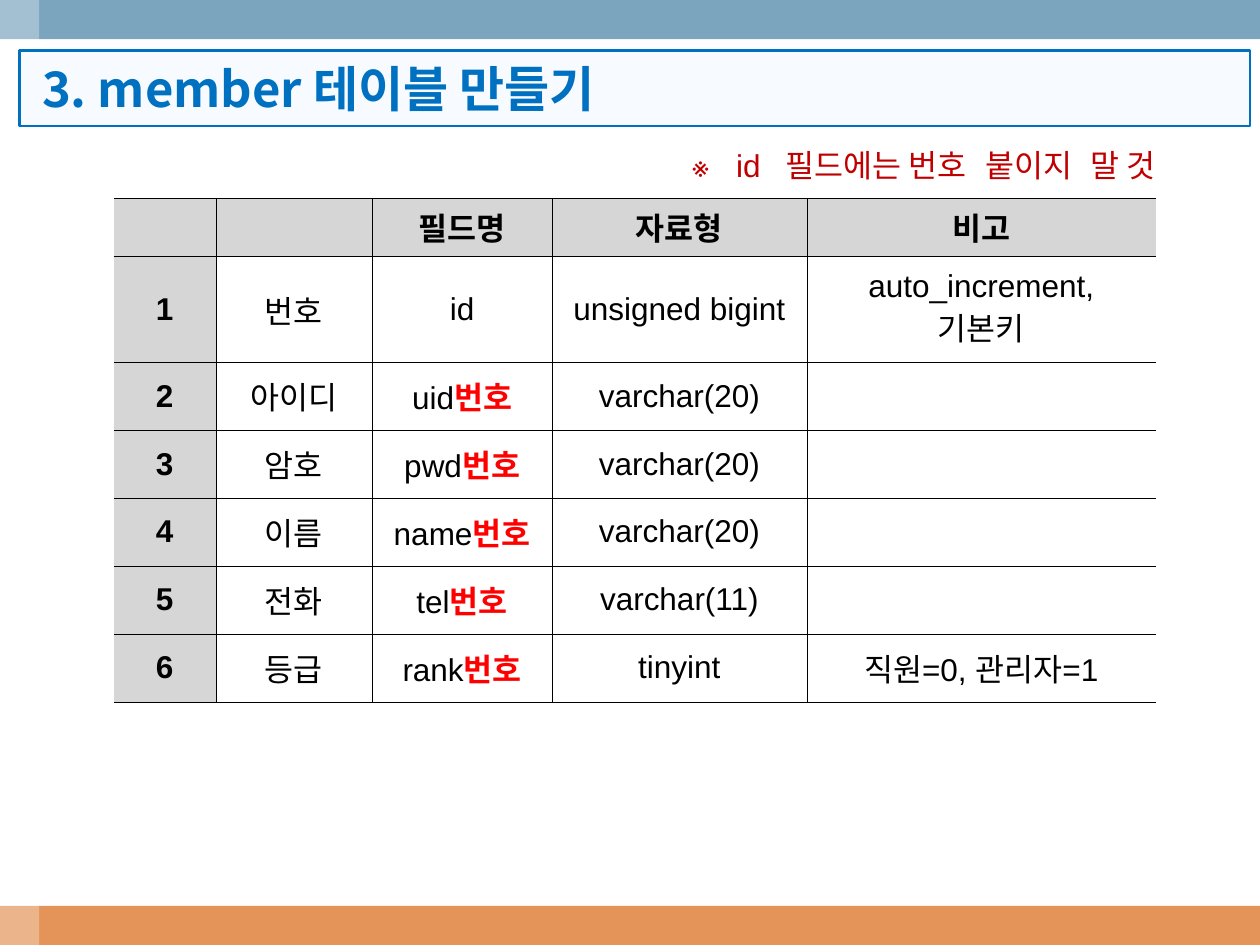
import pptx
import pptx.dml.color
import pptx.enum.shapes
import pptx.enum.text
import pptx.oxml.ns
import pptx.util
from lxml import etree
from pptx.util import Cm, Pt

KOREAN = "Noto Sans CJK KR"
MIDDLE = pptx.enum.text.MSO_ANCHOR.MIDDLE
CENTER = pptx.enum.text.PP_ALIGN.CENTER
W, H, BAND = 25.4, 19.05, 0.79


def color(value):
    return pptx.dml.color.RGBColor.from_string(value)


def sub(parent, tag, **attrs):
    return etree.SubElement(parent, pptx.oxml.ns.qn(tag), attrs)


class Deck:
    """Holds the text style and the slide being built."""

    def __init__(self, prs, size=18, font="Arial", ink="000000", grey="D6D6D6"):
        self.s = prs.slides.add_slide(prs.slide_layouts[6])
        self.size, self.font, self.ink, self.grey = size, font, ink, grey

    def run(self, p, text, bold=False, ink=None, size=None, font=None):
        r = p.add_run()
        r.text = text
        r.font.size = Pt(size or self.size)
        r.font.name = font or self.font
        r.font.bold = bold
        r.font.color.rgb = color(ink or self.ink)
        sub(r.font._element, "a:ea", typeface=KOREAN)

    def rect(self, x, y, w, h, fill, line=None, alpha=None):
        sp = self.s.shapes.add_shape(
            pptx.enum.shapes.MSO_SHAPE.RECTANGLE, Cm(x), Cm(y), Cm(w), Cm(h))
        sp.shadow.inherit = False
        sp.fill.solid()
        sp.fill.fore_color.rgb = color(fill)
        if alpha:
            clr = sp.fill._xPr.find(".//" + pptx.oxml.ns.qn("a:srgbClr"))
            sub(clr, "a:alpha", val=str(alpha * 1000))
        if line:
            sp.line.color.rgb = color(line)
            sp.line.width = Pt(1.5)
        else:
            sp.line.fill.background()
        return sp

    def title(self, text, ink):
        sp = self.rect(0.4, 1.02, 24.8, 1.52, "F7FBFF", ink)
        tf = sp.text_frame
        tf.word_wrap = True
        tf.vertical_anchor = MIDDLE
        p = tf.paragraphs[0]
        p.alignment = pptx.enum.text.PP_ALIGN.LEFT
        p._p.get_or_add_pPr().set("marL", str(Cm(0.2)))
        self.run(p, text, True, ink, 28, KOREAN)

    def note(self, x, y, w, h, words, stops, ink):
        """Writes words on one line, each after the first at its tab stop."""
        tf = self.s.shapes.add_textbox(Cm(x), Cm(y), Cm(w), Cm(h)).text_frame
        tf.word_wrap = True
        p = tf.paragraphs[0]
        tabs = sub(p._p.get_or_add_pPr(), "a:tabLst")
        for stop in stops:
            sub(tabs, "a:tab", pos=str(Cm(stop)), algn="l")
        self.run(p, "\t".join(words), ink=ink)

    def borders(self, cell, sides):
        """Draws hairlines on the given sides and clears the others."""
        tcPr = cell._tc.get_or_add_tcPr()
        for i, side in enumerate("LRTB"):
            ln = sub(tcPr, "a:ln" + side, w=str(Pt(0.11)))
            if side in sides:
                sub(sub(ln, "a:solidFill"), "a:srgbClr", val=self.ink)
            else:
                sub(ln, "a:noFill")
            tcPr.insert(i, ln)

    def cell(self, cell, content, head, sides):
        cell.vertical_anchor = MIDDLE
        cell.margin_left = cell.margin_right = Cm(0.05 if head else 0.3)
        cell.margin_top = cell.margin_bottom = Cm(0.13)
        if head:
            cell.fill.solid()
            cell.fill.fore_color.rgb = color(self.grey)
        else:
            cell.fill.background()
        self.borders(cell, sides)
        p = cell.text_frame.paragraphs[0]
        p.alignment = CENTER
        p.font.size = Pt(self.size)
        for part in content:
            if part == "\n":
                p.add_line_break()
            elif part == NUMBER:
                self.run(p, part[0], True, "FF0000")
            else:
                self.run(p, part, head)

    def table(self, x, y, widths, heights, rows):
        t = self.s.shapes.add_table(
            len(rows), len(widths), Cm(x), Cm(y),
            Cm(sum(widths)), Cm(sum(heights))).table
        for column, w in zip(t.columns, widths):
            column.width = Cm(w)
        for row, h in zip(t.rows, heights):
            row.height = Cm(h)
        last = len(widths) - 1
        for i, row in enumerate(rows):
            for j, content in enumerate(row):
                sides = "TB" + ("L" if j > 0 else "") + ("R" if j < last else "")
                self.cell(t.cell(i, j), content, i == 0 or j == 0, sides)


NUMBER = ("번호",)  # red suffix of a field name

FIELDS = [
    (["번호"], ["id"], ["unsigned bigint"], ["auto_increment,", "\n", "기본키"]),
    (["아이디"], ["uid", NUMBER], ["varchar(20)"], []),
    (["암호"], ["pwd", NUMBER], ["varchar(20)"], []),
    (["이름"], ["name", NUMBER], ["varchar(20)"], []),
    (["전화"], ["tel", NUMBER], ["varchar(11)"], []),
    (["등급"], ["rank", NUMBER], ["tinyint"], ["직원=0, 관리자=1"]),
]


def main():
    prs = pptx.Presentation()
    prs.slide_width, prs.slide_height = Cm(W), Cm(H)
    deck = Deck(prs)
    deck.rect(0, H - BAND, W, BAND, "E49458")
    deck.rect(0, 0, W, BAND, "7BA5BE")
    deck.rect(0, 0, BAND, H, "FFFFFF", alpha=30)

    header = ([], [], ["필드명"], ["자료형"], ["비고"])
    rows = [header] + [([str(n)], *field) for n, field in enumerate(FIELDS, 1)]
    deck.table(2.29, 3.99, [2.06, 3.15, 3.63, 5.13, 7.04],
               [0.86, 2.13] + [1.37] * 5, rows)
    deck.note(13.69, 2.82, 12.7, 1.02,
              ["※", "id", "필드에는 번호", "붙이지", "말 것"],
              [0.9, 1.9, 5.92, 8.05], "C00000")
    deck.title("3. member 테이블 만들기", "0070C0")
    prs.save("out.pptx")


if __name__ == "__main__":
    main()
